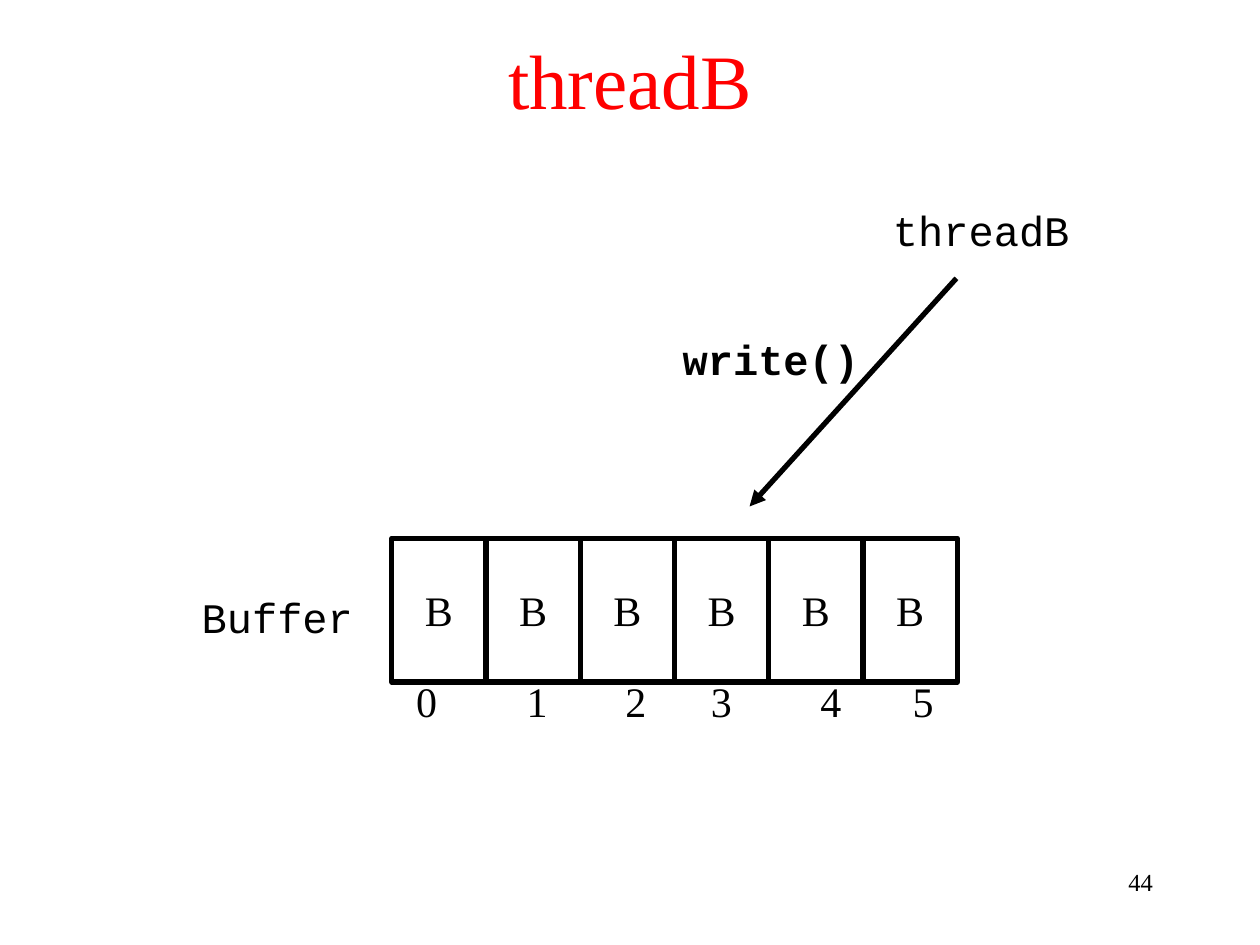
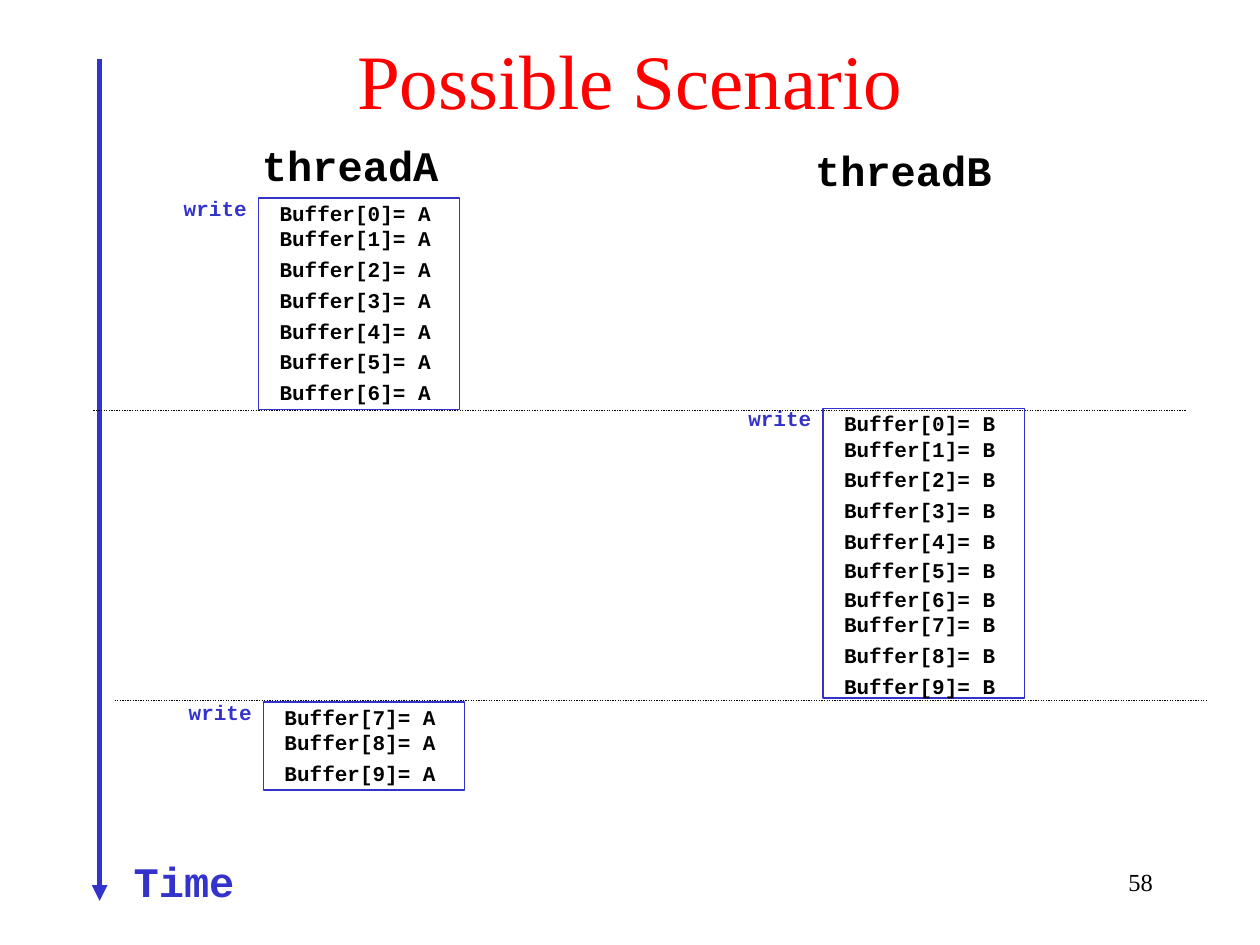
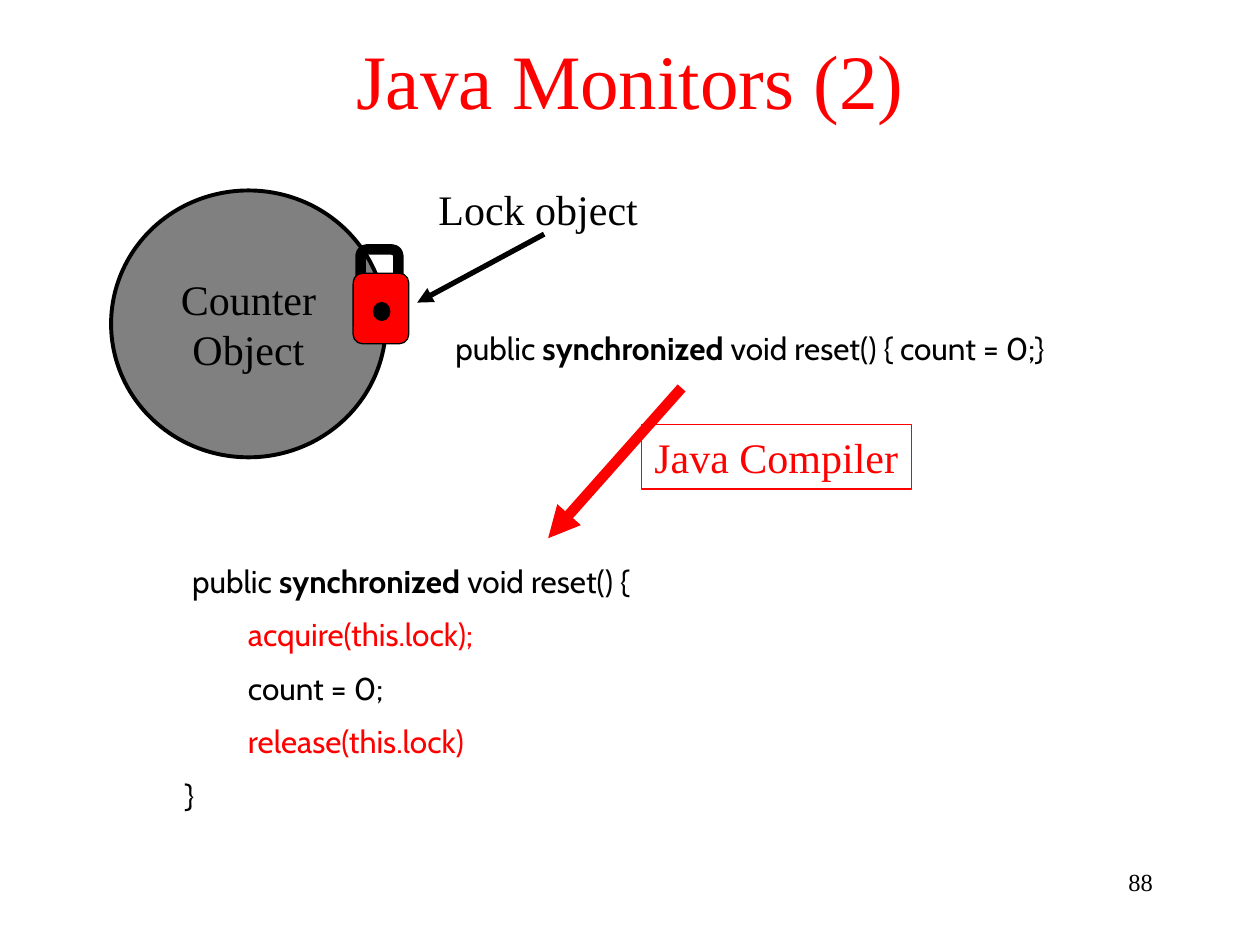
from lxml.etree import SubElement
from pptx import Presentation
from pptx.dml.color import RGBColor
from pptx.enum.dml import MSO_LINE
from pptx.enum.shapes import MSO_CONNECTOR, MSO_SHAPE
from pptx.enum.text import MSO_ANCHOR, PP_ALIGN
from pptx.oxml.ns import qn
from pptx.util import Cm, Pt

COLORS = {"ink": "000000", "red": "FF0000", "blue": "3333CC", "gray": "808080"}
SERIF, MONO, CODE = "Times New Roman", "Courier New", "Cabin"
TITLE_ONLY = 5
LINE_HEIGHT = 1.27
ROW_STEP = 0.62


def rgb(name):
    return RGBColor.from_string(COLORS[name])


def set_font(font, face, size, color="ink", bold=False):
    font.name, font.size, font.bold = face, Pt(size), bold
    font.color.rgb = rgb(color)


def fill_frame(frame, text, face=SERIF, size=24, color="ink", bold=False,
               align=PP_ALIGN.CENTER, wrap=False):
    frame.text = text
    frame.word_wrap = wrap
    for paragraph in frame.paragraphs:
        paragraph.alignment = align
        set_font(paragraph.font, face, size, color, bold)


def add_label(slide, box, text, **style):
    label = slide.shapes.add_textbox(*map(Cm, box))
    fill_frame(label.text_frame, text, **style)


def add_outline(slide, preset, box, weight, line="ink", fill=None, text=""):
    """Add a preset shape, hollow unless a fill is named; its text takes the line colour."""
    shape = slide.shapes.add_shape(preset, *map(Cm, box))
    shape.shadow.inherit = False
    if fill:
        shape.fill.solid()
        shape.fill.fore_color.rgb = rgb(fill)
    else:
        shape.fill.background()
    shape.line.color.rgb = rgb(line)
    shape.line.width = Pt(weight)
    if text:
        shape.text_frame.vertical_anchor = MSO_ANCHOR.MIDDLE
        fill_frame(shape.text_frame, text, color=line)


def add_line(slide, start, end, weight, color="ink", dash=None, arrow=True):
    connector = slide.shapes.add_connector(
        MSO_CONNECTOR.STRAIGHT, *map(Cm, start + end))
    connector.line.color.rgb = rgb(color)
    connector.line.width = Pt(weight)
    if dash:
        connector.line.dash_style = dash
    properties = connector._element.spPr
    if arrow:
        SubElement(properties.find(qn("a:ln")), qn("a:tailEnd"), type="triangle")
    SubElement(properties, qn("a:effectLst"))


def add_titled_slide(prs, title, number):
    slide = prs.slides.add_slide(prs.slide_layouts[TITLE_ONLY])
    heading = slide.shapes.title
    heading.left, heading.top = Cm(0), Cm(0)
    heading.width, heading.height = prs.slide_width, Cm(3.18)
    heading.text_frame.vertical_anchor = MSO_ANCHOR.MIDDLE
    fill_frame(heading.text_frame, title, size=44, color="red", wrap=True)
    add_label(slide, (18.21, 17.35, 5.28, LINE_HEIGHT), str(number), size=14,
              align=PP_ALIGN.RIGHT, wrap=True)
    return slide


def add_buffer(slide, left, top, values):
    """Draw the buffer cells, with its name to the left and the indices below."""
    cell_width, cell_height = 1.9, 2.9
    index_offsets = (-0.05, 2.18, 4.17, 5.89, 8.1, 9.96)
    for index, (value, offset) in enumerate(zip(values, index_offsets)):
        add_outline(slide, MSO_SHAPE.RECTANGLE,
                    (left + index * cell_width, top, cell_width, cell_height),
                    3, text=value)
        add_label(slide, (left + offset, top + 2.64, 1.5, LINE_HEIGHT),
                  str(index), wrap=True)
    add_label(slide, (left - 4.09, top + 0.94, 3.56, LINE_HEIGHT), "Buffer", face=MONO)


def add_writer(slide, left, top):
    """Draw the writing thread and its arrow down to the buffer."""
    add_label(slide, (left + 4.24, top, 4.06, LINE_HEIGHT), "threadB", face=MONO)
    add_line(slide, (left + 5.77, top + 1.62), (left + 1.6, top + 6.22), 3)
    add_label(slide, (left, top + 2.61, 4.06, LINE_HEIGHT), "write()",
              face=MONO, bold=True)


def add_write_block(slide, box, letter, indices, steps):
    """Frame one run of writes; steps holds the row gaps that differ from ROW_STEP."""
    left, top = box[:2]
    add_outline(slide, MSO_SHAPE.RECTANGLE, box, 0.75, line="blue")
    add_label(slide, (left - 1.76, top - 0.18, 1.78, 0.76), "write",
              face=MONO, size=12, color="blue", bold=True)
    row_top = top - 0.08
    for row, index in enumerate(indices):
        if row:
            row_top += steps.get(row, ROW_STEP)
        add_label(slide, (left + 0.16, row_top, 3.58, 0.76),
                  f"Buffer[{index}]= {letter}", face=MONO, size=12, bold=True)


def add_time_axis(slide, left, top, length):
    add_line(slide, (left, top), (left, top + length), 3, color="blue")
    add_label(slide, (left + 0.43, top + length - 1.04, 2.54, LINE_HEIGHT), "Time",
              face=MONO, color="blue", bold=True)


def add_padlock(slide, left, top):
    add_outline(slide, MSO_SHAPE.ROUNDED_RECTANGLE, (left + 0.15, top, 0.76, 1.35), 6)
    add_outline(slide, MSO_SHAPE.ROUNDED_RECTANGLE, (left, top + 0.48, 1.12, 1.42),
                0.75, fill="red")
    add_outline(slide, MSO_SHAPE.OVAL, (left + 0.41, top + 1.07, 0.33, 0.36),
                0.75, fill="ink")


def add_locked_object(slide, left, top):
    """Draw the counter object with its padlock and the callout naming it."""
    add_outline(slide, MSO_SHAPE.OVAL, (left, top, 5.54, 5.38), 2.25,
                fill="gray", text="Counter\nObject")
    add_padlock(slide, left + 4.88, top + 1.19)
    add_line(slide, (left + 8.73, top + 0.88), (left + 6.17, top + 2.26), 3)
    add_label(slide, (left + 6.35, top - 0.26, 4.52, LINE_HEIGHT), "Lock object")


def add_compile_step(slide, left, top):
    add_line(slide, (left + 2.69, top), (left, top + 3.03), 6, color="red")
    add_outline(slide, MSO_SHAPE.RECTANGLE, (left + 1.88, top + 0.74, 5.44, 1.3), 0.75,
                line="red", text="Java Compiler")


def add_code(slide, box, lines):
    """Write code lines, each a list of (text, colour, bold) pieces."""
    frame = slide.shapes.add_textbox(*map(Cm, box)).text_frame
    frame.word_wrap = True
    for number, pieces in enumerate(lines):
        paragraph = frame.add_paragraph() if number else frame.paragraphs[0]
        if number:
            paragraph.space_before = Pt(9)
        for text, color, bold in pieces:
            run = paragraph.add_run()
            run.text = text
            set_font(run.font, CODE, 18, color, bold)


def signature(ending):
    return [(" public ", "ink", False), ("synchronized", "ink", True),
            (f" void reset() {{{ending}", "ink", False)]


def build_thread_slide(prs):
    slide = add_titled_slide(prs, "threadB", 44)
    add_buffer(slide, 7.9, 10.85, "BBBBBB")
    add_writer(slide, 13.51, 3.99)


def build_scenario_slide(prs):
    slide = add_titled_slide(prs, "Possible Scenario", 58)
    for thread, left, top in (("threadA", 5.03, 2.69), ("threadB", 16.18, 2.79)):
        add_label(slide, (left, top, 4.06, LINE_HEIGHT), thread, face=MONO, bold=True)
    add_time_axis(slide, 2.01, 1.19, 16.97)
    for left, top in ((1.88, 8.28), (2.31, 14.12)):
        add_line(slide, (left, top), (left + 22.03, top), 0.75,
                 dash=MSO_LINE.ROUND_DOT, arrow=False)
    add_write_block(slide, (5.21, 3.99, 4.06, 4.27), "A", range(7), {1: 0.52})
    add_write_block(slide, (16.59, 8.23, 4.06, 5.84), "B", range(10),
                    {1: 0.52, 5: 0.58, 6: 0.58, 7: 0.52})
    add_write_block(slide, (5.31, 14.15, 4.06, 1.78), "A", range(7, 10), {1: 0.52})


def build_monitor_slide(prs):
    slide = add_titled_slide(prs, "Java Monitors (2)", 88)
    add_code(slide, (8.79, 6.5, 14.96, LINE_HEIGHT), [signature(" count = 0;}")])
    add_locked_object(slide, 2.24, 3.84)
    add_code(slide, (3.48, 11.2, 14.96, 6.76), [
        signature(""),
        [("\tacquire(this.lock);", "red", False)],
        [("\tcount = 0;", "ink", False)],
        [("\trelease(this.lock)", "red", False)],
        [("}", "ink", False)],
    ])
    add_compile_step(slide, 11.05, 7.82)


def main():
    prs = Presentation()
    prs.slide_width, prs.slide_height = Cm(25.4), Cm(19.05)
    build_thread_slide(prs)
    build_scenario_slide(prs)
    build_monitor_slide(prs)
    prs.save("out.pptx")


if __name__ == "__main__":
    main()
